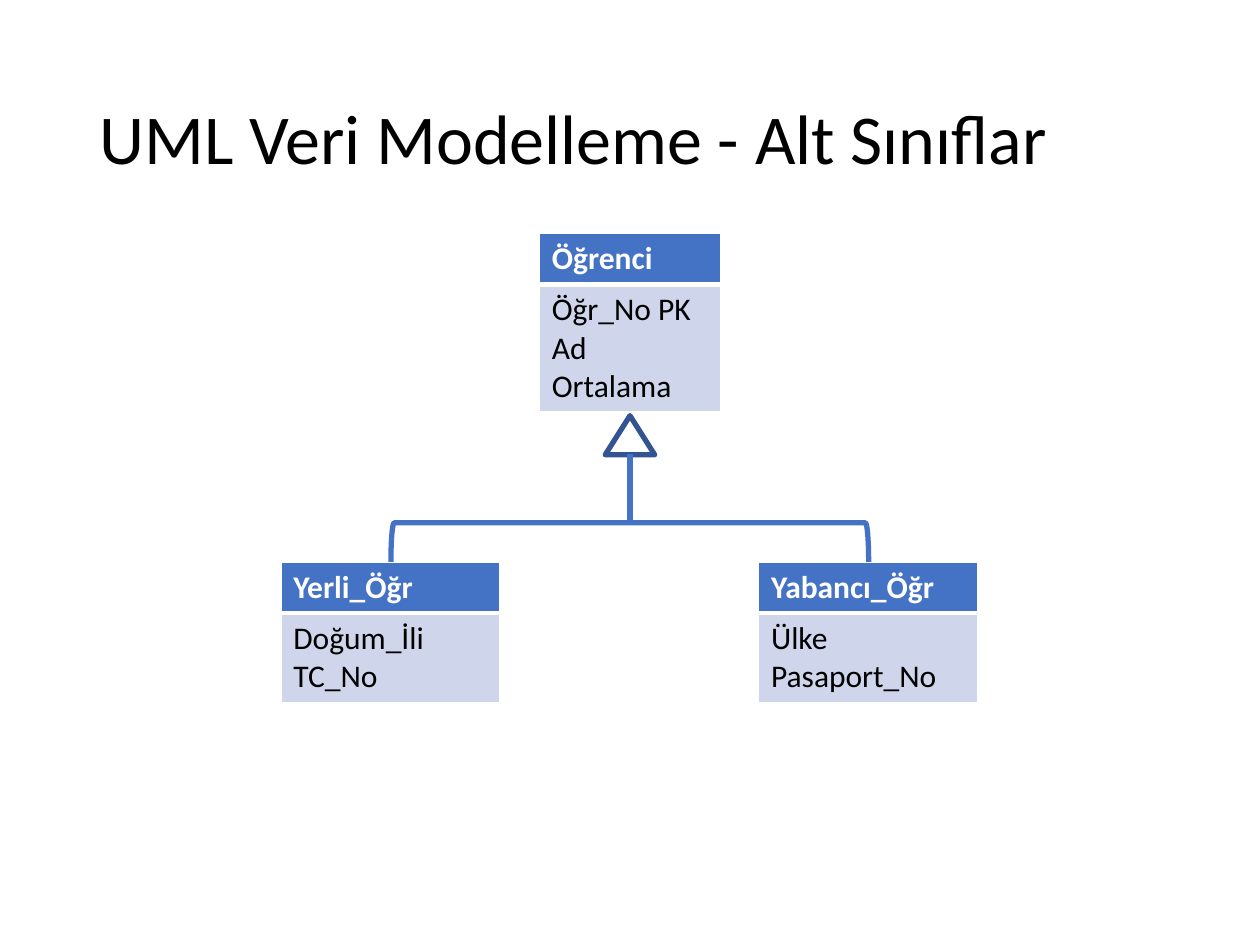
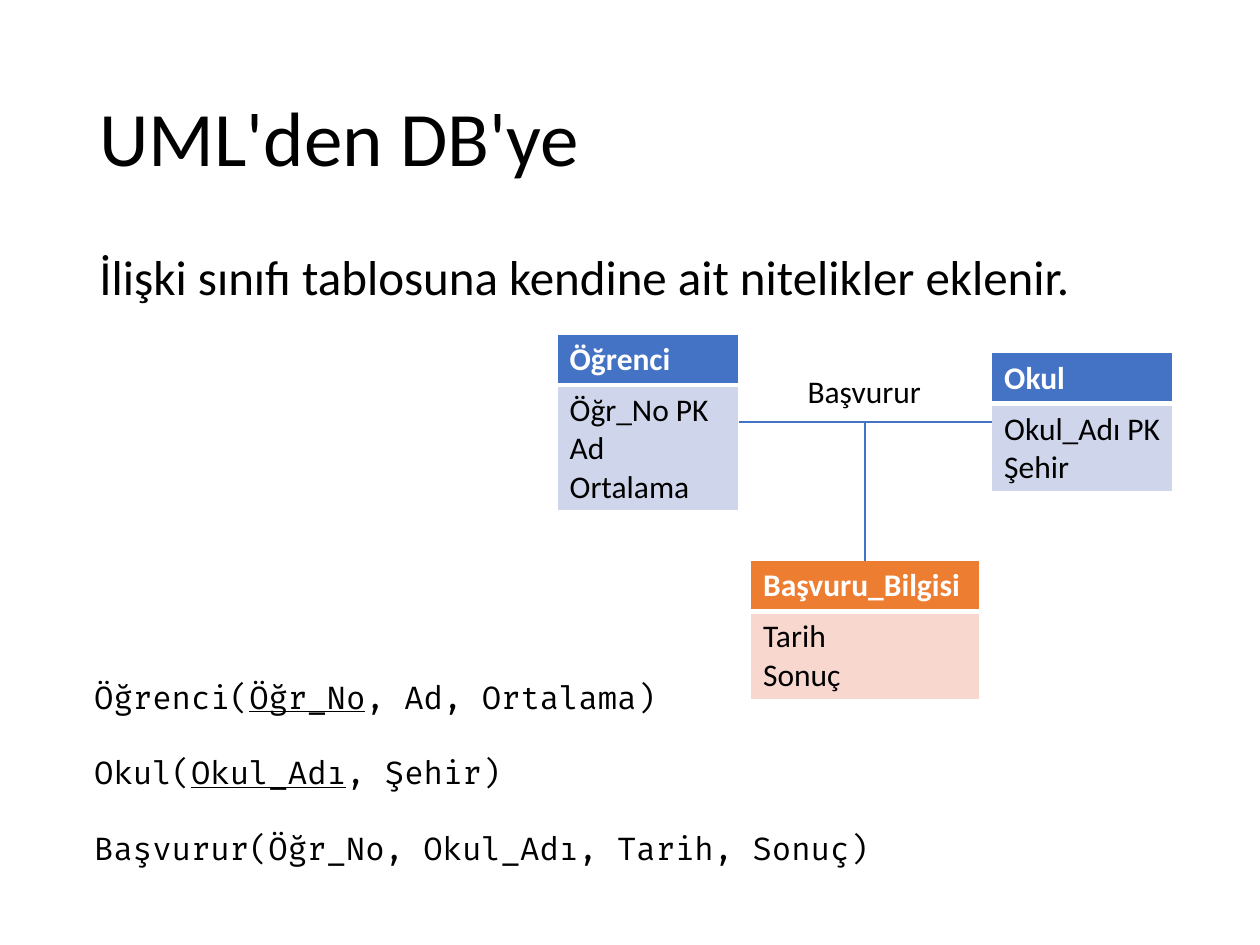
from lxml.etree import SubElement
from pptx import Presentation
from pptx.dml.color import RGBColor
from pptx.enum.shapes import MSO_CONNECTOR, MSO_SHAPE
from pptx.enum.text import MSO_ANCHOR, MSO_AUTO_SIZE, PP_ALIGN
from pptx.oxml.ns import qn
from pptx.util import Cm, Pt

BLUE = RGBColor(0x44, 0x72, 0xC4)
DARK_BLUE = RGBColor(0x32, 0x54, 0x91)
PALE_BLUE = RGBColor(0xCF, 0xD5, 0xEA)
ORANGE = RGBColor(0xED, 0x7D, 0x31)
PALE_ORANGE = RGBColor(0xF8, 0xD7, 0xCE)
WHITE = RGBColor(0xFF, 0xFF, 0xFF)
BLACK = RGBColor(0, 0, 0)

TEXT_FONT = "Calibri"
CODE_FONT = "Fira Code"
HEADER_HEIGHT = 1.03
LINE_HEIGHT = 0.76
CELL_PADDING = 0.25
TOP, LEFT, BOTTOM, RIGHT = range(4)


def set_all(obj, values):
    for name, value in values.items():
        setattr(obj, name, value)


class Deck:
    def __init__(self):
        self.prs = Presentation()
        self.prs.slide_width = Cm(25.4)
        self.prs.slide_height = Cm(19.05)
        self.s = None

    def new_slide(self, layout, title, size):
        self.s = self.prs.slides.add_slide(self.prs.slide_layouts[layout])
        self.placeholder(self.s.shapes.title, title, (1.75, 1.02, 21.9, 3.68), size,
                         MSO_ANCHOR.MIDDLE, {"line_spacing": 0.9})

    def run(self, p, text, size=18, color=BLACK, **fmt):
        r = p.add_run()
        r.text = text
        set_all(r.font, {"name": TEXT_FONT, "size": Pt(size), **fmt})
        r.font.color.rgb = color

    def placeholder(self, sp, text, box, size, anchor, fmt):
        set_all(sp, dict(zip(("left", "top", "width", "height"), map(Cm, box))))
        tf = sp.text_frame
        set_all(tf, {"word_wrap": True, "auto_size": MSO_AUTO_SIZE.NONE,
                     "vertical_anchor": anchor})
        p = tf.paragraphs[0]
        set_all(p, {"alignment": PP_ALIGN.LEFT, **fmt})
        self.run(p, text, size)
        return p

    def body(self, text):
        p = self.placeholder(self.s.placeholders[1], text, (1.75, 5.08, 21.9, 1.27), 28,
                             MSO_ANCHOR.TOP, {"line_spacing": 0.8, "space_before": Pt(10)})
        pPr = p._p.get_or_add_pPr()
        set_zero = {"marL": "0", "indent": "0"}
        for name, value in set_zero.items():
            pPr.set(name, value)
        SubElement(pPr, qn("a:buNone"))

    def text_box(self, box, lines, gap=0, font=TEXT_FONT):
        tf = self.s.shapes.add_textbox(*map(Cm, box)).text_frame
        set_all(tf, {"word_wrap": False, "auto_size": MSO_AUTO_SIZE.SHAPE_TO_FIT_TEXT})
        for i, parts in enumerate(lines):
            p = tf.add_paragraph() if i else tf.paragraphs[0]
            p.space_before = Pt(gap if i else 0)
            for j, part in enumerate(parts):
                self.run(p, part, name=font, underline=j % 2 == 1)

    def cell(self, cell, lines, fill, color, bold, borders):
        for i, line in enumerate(lines):
            p = cell.text_frame.add_paragraph() if i else cell.text_frame.paragraphs[0]
            self.run(p, line, color=color, bold=bold)
        tcPr = cell._tc.get_or_add_tcPr()
        for side, width in zip("LRTB", borders):
            ln = SubElement(tcPr, qn(f"a:ln{side}"), w=str(Pt(width)))
            SubElement(SubElement(ln, qn("a:solidFill")), qn("a:srgbClr"), val=str(WHITE))
        cell.fill.solid()
        cell.fill.fore_color.rgb = fill

    def uml_class(self, left, top, width, name, fields, dark=BLUE, pale=PALE_BLUE):
        heights = HEADER_HEIGHT, CELL_PADDING + LINE_HEIGHT * len(fields)
        frame = self.s.shapes.add_table(2, 1, Cm(left), Cm(top), Cm(width), Cm(sum(heights)))
        table = frame.table
        for row, height in zip(table.rows, heights):
            row.height = Cm(height)
        self.cell(table.cell(0, 0), [name], dark, WHITE, True, (1, 1, 1, 3))
        self.cell(table.cell(1, 0), fields, pale, BLACK, False, (1, 1, 3, 1))
        return frame

    def outline(self, kind, box, color, rotation=0):
        sp = self.s.shapes.add_shape(kind, *map(Cm, box))
        sp.rotation = rotation
        sp.shadow.inherit = False
        sp.fill.background()
        sp.line.color.rgb = color
        sp.line.width = Pt(3)

    def line(self, x1, y1, x2, y2, width, begin=None, end=None):
        cn = self.s.shapes.add_connector(MSO_CONNECTOR.STRAIGHT, *map(Cm, (x1, y1, x2, y2)))
        cn.line.color.rgb = BLUE
        cn.line.width = Pt(width)
        SubElement(cn._element.spPr, qn("a:effectLst"))
        if begin:
            cn.begin_connect(*begin)
        if end:
            cn.end_connect(*end)


def subclasses_slide(deck):
    deck.new_slide(5, "UML Veri Modelleme - Alt Sınıflar", 40)
    deck.uml_class(10.87, 4.7, 3.66, "Öğrenci", ["Öğr_No PK", "Ad", "Ortalama"])
    deck.uml_class(5.66, 11.33, 4.42, "Yerli_Öğr", ["Doğum_İli", "TC_No"])
    deck.uml_class(15.29, 11.33, 4.42, "Yabancı_Öğr", ["Ülke", "Pasaport_No"])
    deck.outline(MSO_SHAPE.ISOSCELES_TRIANGLE, (12.2, 8.38, 1, 0.79), DARK_BLUE)
    deck.outline(MSO_SHAPE.LEFT_BRACKET, (12.3, 6.12, 0.79, 9.63), BLUE, 90)
    deck.line(12.7, 9.15, 12.7, 10.54, 3)


def association_slide(deck):
    deck.new_slide(1, "UML'den DB'ye", 44)
    deck.body("İlişki sınıfı tablosuna kendine ait nitelikler eklenir.")
    deck.text_box((1.65, 13.54, 16.36, 4.11), [
        ["Öğrenci(", "Öğr_No", ", Ad, Ortalama)"],
        ["Okul(", "Okul_Adı", ", Şehir)"],
        ["Başvurur(Öğr_No, Okul_Adı, Tarih, Sonuç)"],
    ], 21.6, CODE_FONT)
    student = deck.uml_class(11.23, 6.73, 3.66, "Öğrenci", ["Öğr_No PK", "Ad", "Ortalama"])
    school = deck.uml_class(19.99, 7.11, 3.66, "Okul", ["Okul_Adı PK", "Şehir"])
    deck.line(14.89, 8.51, 19.99, 8.51, 1.5, (student, RIGHT), (school, LEFT))
    deck.text_box((16.03, 7.37, 2.82, 1.02), [["Başvurur"]])
    application = deck.uml_class(15.13, 11.3, 4.62, "Başvuru_Bilgisi", ["Tarih", "Sonuç"],
                                 ORANGE, PALE_ORANGE)
    deck.line(17.44, 11.3, 17.44, 8.51, 1.5, (application, TOP))


def main():
    deck = Deck()
    subclasses_slide(deck)
    association_slide(deck)
    deck.prs.save("out.pptx")


if __name__ == "__main__":
    main()
